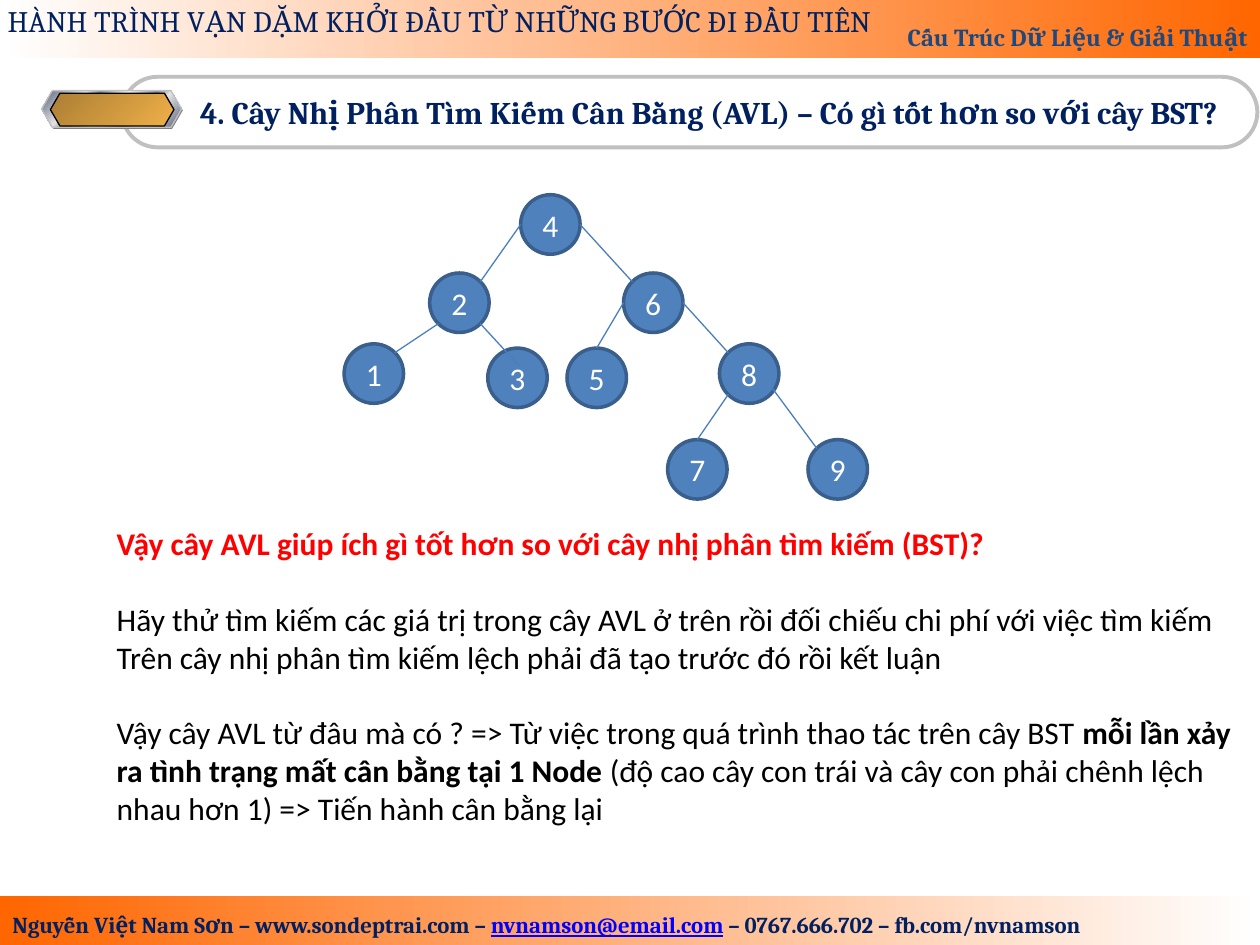
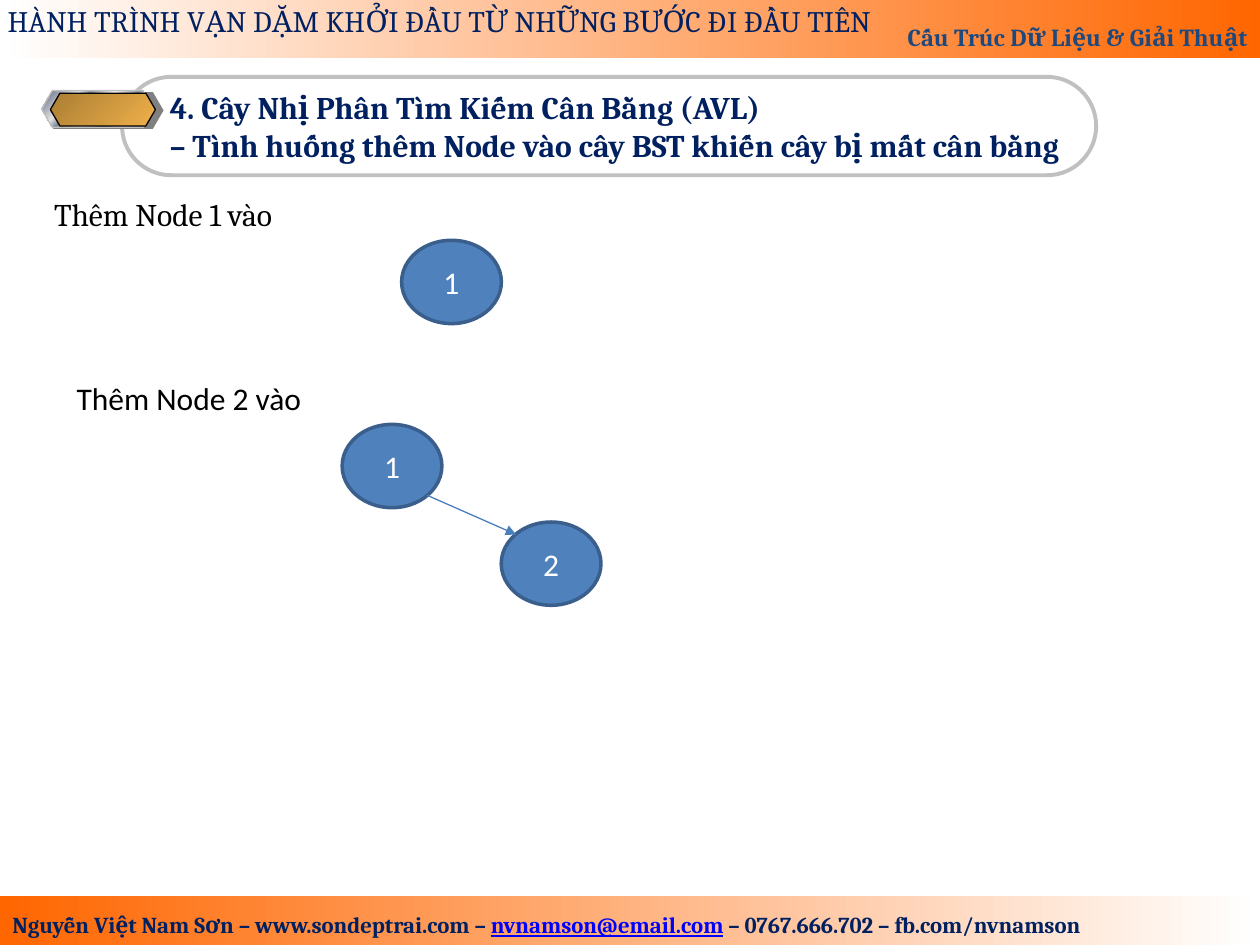
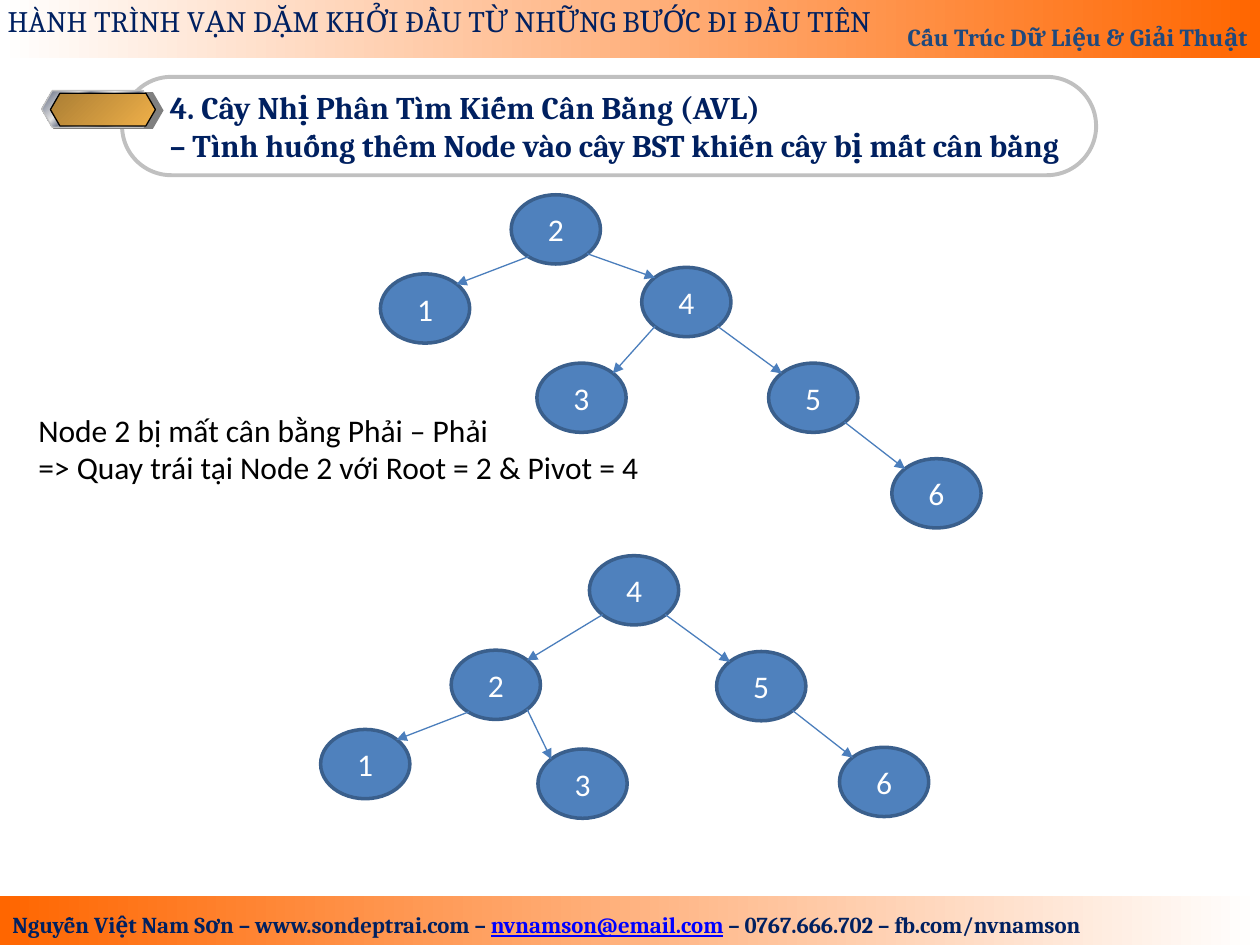
"""Build three slides about AVL trees: the search tree, inserting nodes, and a left rotation."""
from dataclasses import dataclass, field
from typing import Any, NamedTuple

from lxml.etree import SubElement
from pptx import Presentation
from pptx.dml.color import RGBColor
from pptx.enum.shapes import MSO_CONNECTOR as Link, MSO_SHAPE as Preset
from pptx.enum.text import MSO_ANCHOR as Anchor, MSO_AUTO_SIZE as AutoSize, PP_ALIGN as Align
from pptx.oxml.ns import qn
from pptx.util import Pt

Format = dict[str, Any]


@dataclass(frozen=True)
class Theme:
    navy: str = "002060"
    slate: str = "1F497D"
    link: str = "0000FF"
    black: str = "000000"
    white: str = "FFFFFF"
    red: str = "FF0000"
    silver: str = "C0C0C0"
    grey: str = "808080"
    node: str = "4F81BD"
    node_edge: str = "3A5F8C"
    branch: str = "4B7EBC"
    band: tuple = ((0, "FFFFFF"), (100, "FF6600"))
    band_reversed: tuple = ((0, "FF6600"), (100, "FFFFFF"))
    gold: tuple = ((0, "AB7E34"), (100, "EFB049"))
    steel: tuple = (
        (0, "E6E6E6"), (7, "7D8496"), (26, "E6E6E6"), (34, "7D8496"), (46, "E6E6E6"), (50, "FFFFFF"),
        (54, "E6E6E6"), (66, "7D8496"), (74, "E6E6E6"), (93, "7D8496"), (100, "E6E6E6"))
    text_size: float = 18
    slogan_size: float = 17
    course_size: float = 14
    contact_size: float = 13
    serif: str = "Cambria"
    sans: str = "Calibri"


THEME = Theme()


def font_format(name: str, size: float, color: str, bold: bool = False) -> Format:
    """Return the format values of one text style."""
    return {"name": name, "size": Pt(size), "color": color, "bold": bold}


TITLE = font_format(THEME.serif, THEME.text_size, THEME.navy, True)
SLOGAN = font_format(THEME.serif, THEME.slogan_size, THEME.navy)
COURSE = font_format(THEME.serif, THEME.course_size, THEME.slate, True)
CONTACT = font_format(THEME.serif, THEME.contact_size, THEME.navy, True)
MAIL = CONTACT | {"color": THEME.link, "underline": True}
BODY = font_format(THEME.sans, THEME.text_size, THEME.black)
STRONG = BODY | {"bold": True}
QUESTION = STRONG | {"color": THEME.red}
SERIF_BODY = BODY | {"name": THEME.serif}
LABEL = BODY | {"color": THEME.white}


class Box(NamedTuple):
    left: float
    top: float
    width: float
    height: float

    def lengths(self) -> list[Pt]:
        """Return the four sides as lengths."""
        return [Pt(value) for value in self]


class Span(NamedTuple):
    text: str
    format: Format = BODY


class Para(NamedTuple):
    spans: list[Span]
    before: float = 0
    indent: float = 0
    align: Align = Align.LEFT


class Site(NamedTuple):
    across: float
    down: float


LEFT, RIGHT, TOP = Site(0, 0.5), Site(1, 0.5), Site(0.5, 0)
UPPER_LEFT, UPPER_RIGHT = Site(0.15, 0.15), Site(0.85, 0.15)
LOWER_LEFT, LOWER_RIGHT = Site(0.15, 0.85), Site(0.85, 0.85)
LOW_LEFT, LOW_RIGHT, INNER_TOP = Site(0.2, 0.89), Site(0.87, 0.72), Site(0.53, 0.3)


class Edge(NamedTuple):
    parent: int
    child: int
    start: Site = LOWER_RIGHT
    end: Site = UPPER_LEFT


@dataclass(frozen=True)
class Tree:
    width: float
    height: float
    nodes: dict[int, tuple[float, float]]
    edges: list[Edge] = field(default_factory=list)
    arrows: bool = True


@dataclass(frozen=True)
class Heading:
    paras: list[Para]
    text_left: float
    frame: Box
    shadow_width: float
    steel_width: float
    gold_width: float


class Note(NamedTuple):
    box: Box
    paras: list[Para]


@dataclass(frozen=True)
class Content:
    heading: Heading
    trees: list[Tree]
    notes: list[Note]


def apply_format(font: Any, values: Format) -> None:
    """Set each format value on a font."""
    for name, value in values.items():
        if name == "color":
            font.color.rgb = RGBColor.from_string(value)
        else:
            setattr(font, name, value)


def write(frame: Any, paras: list[Para], anchor: Anchor = Anchor.TOP,
          margins: tuple = (7.2, 3.6, 7.2, 3.6)) -> None:
    """Fill a text frame with formatted paragraphs."""
    settings = {"word_wrap": True, "auto_size": AutoSize.NONE, "vertical_anchor": anchor}
    settings |= {f"margin_{side}": Pt(value)
                 for side, value in zip(("left", "top", "right", "bottom"), margins)}
    for name, value in settings.items():
        setattr(frame, name, value)
    for index, para in enumerate(paras):
        target = frame.add_paragraph() if index else frame.paragraphs[0]
        target.alignment = para.align
        if para.before:
            target.space_before = Pt(para.before)
        if para.indent:
            target._p.get_or_add_pPr().set("marL", str(Pt(para.indent)))
        for span in para.spans:
            run = target.add_run()
            run.text = span.text
            apply_format(run.font, span.format)


def add_text(page: Any, box: Box, paras: list[Para], **options: Any) -> Any:
    """Add a text box."""
    shape = page.shapes.add_textbox(*box.lengths())
    write(shape.text_frame, paras, **options)
    return shape


def paint_gradient(shape: Any, stops: tuple, angle: float) -> None:
    """Fill a shape with a linear gradient of any number of stops."""
    shape.fill.gradient()
    shape.fill.gradient_angle = angle
    stop_list = shape._element.spPr.find(qn("a:gradFill")).find(qn("a:gsLst"))
    for old in list(stop_list):
        stop_list.remove(old)
    for position, color in stops:
        stop = SubElement(stop_list, qn("a:gs"), pos=str(position * 1000))
        SubElement(stop, qn("a:srgbClr"), val=color)


def add_preset(page: Any, preset: Preset, box: Box, fill: str | tuple | None = None,
               line: tuple[str, float] | None = None, angle: float = 0) -> Any:
    """Add a preset shape with a plain, gradient or empty fill."""
    shape = page.shapes.add_shape(preset, *box.lengths())
    shape.shadow.inherit = False
    if fill is None:
        shape.fill.background()
    elif isinstance(fill, str):
        shape.fill.solid()
        shape.fill.fore_color.rgb = RGBColor.from_string(fill)
    else:
        paint_gradient(shape, fill, angle)
    if line:
        shape.line.color.rgb = RGBColor.from_string(line[0])
        shape.line.width = Pt(line[1])
    else:
        shape.line.fill.background()
    return shape


def add_bands(page: Any, layout: Any) -> None:
    """Draw the header and footer and move them to the shared layout."""
    footer = add_preset(page, Preset.RECTANGLE, Box(0, 512, 720, 28), THEME.band_reversed)
    header = add_preset(page, Preset.RECTANGLE, Box(0, 0, 720, 33), THEME.band)
    write(header.text_frame, [Para([Span("Cấu Trúc Dữ Liệu & Giải Thuật", COURSE)], align=Align.RIGHT)],
          Anchor.BOTTOM)
    contact = add_text(page, Box(0, 517, 651, 23), [Para([
        Span("Nguyễn Việt Nam Sơn – www.sondeptrai.com – ", CONTACT),
        Span("nvnamson@email.com", MAIL),
        Span(" – 0767.666.702 – fb.com/nvnamson", CONTACT)])])
    slogan = add_text(page, Box(0, 0, 531, 26), [
        Para([Span("HÀNH TRÌNH VẠN DẶM KHỞI ĐẦU TỪ NHỮNG BƯỚC ĐI ĐẦU TIÊN", SLOGAN)])],
        margins=(4.3, 1.4, 7.2, 3.6))
    for shape in (footer, header, contact, slogan):
        layout.shapes.element.append(shape._element)


def add_heading(page: Any, heading: Heading) -> None:
    """Place the title in its rounded frame with the badge at its left."""
    frame = heading.frame
    title = page.shapes.title
    box = Box(heading.text_left, frame.top, frame.left + frame.width - heading.text_left, frame.height)
    for name, value in zip(("left", "top", "width", "height"), box.lengths()):
        setattr(title, name, value)
    write(title.text_frame, heading.paras, Anchor.MIDDLE, (0, 0, 0, 0))
    outline = add_preset(page, Preset.ROUNDED_RECTANGLE, frame, line=(THEME.silver, 2.25))
    outline.adjustments[0] = 0.5
    badge = (
        (Box(24.5, 52.6, heading.shadow_width, 21), THEME.grey, None),
        (Box(23.8, 51.8, heading.steel_width, 21), THEME.steel, (THEME.silver, 0.75)),
        (Box(28.8, 53.3, heading.gold_width, 18.7), THEME.gold, (THEME.black, 0.75)))
    for place, fill, line in badge:
        hexagon = add_preset(page, Preset.HEXAGON, place, fill, line, angle=315)
        hexagon.adjustments[0] = 0.29


def add_branch(page: Any, tree: Tree, edge: Edge) -> None:
    """Draw the line from a parent node to its child."""
    ends = []
    for key, site in ((edge.parent, edge.start), (edge.child, edge.end)):
        left, top = tree.nodes[key]
        ends += [Pt(left + site.across * tree.width), Pt(top + site.down * tree.height)]
    branch = page.shapes.add_connector(Link.STRAIGHT, *ends)
    branch.line.color.rgb = RGBColor.from_string(THEME.branch)
    branch.line.width = Pt(0.75)
    properties = branch._element.spPr
    if tree.arrows:
        SubElement(properties.find(qn("a:ln")), qn("a:tailEnd"), type="triangle")
    SubElement(properties, qn("a:effectLst"))


def add_tree(page: Any, tree: Tree) -> None:
    """Draw the nodes of a tree and the branches between them."""
    for key, (left, top) in tree.nodes.items():
        node = add_preset(page, Preset.OVAL, Box(left, top, tree.width, tree.height),
                          THEME.node, (THEME.node_edge, 2))
        write(node.text_frame, [Para([Span(str(key), LABEL)], align=Align.CENTER)],
              Anchor.MIDDLE, (0, 0, 0, 0))
    for edge in tree.edges:
        add_branch(page, tree, edge)


COMPARE = Heading(
    [Para([Span("4. Cây Nhị Phân Tìm Kiếm Cân Bằng (AVL) – Có gì tốt hơn so với cây BST?", TITLE)])],
    114.3, Box(69.8, 43.9, 648.7, 40.3), 80, 80, 70.6)
INSERT = Heading(
    [Para([Span("4. Cây Nhị Phân Tìm Kiếm Cân Bằng (AVL)", TITLE)], indent=12),
     Para([Span("– Tình huống thêm Node vào cây BST khiến cây bị mất cân bằng", TITLE)])],
    85, Box(69.8, 43.9, 556.6, 56.2), 69, 64, 60)

SEARCH_TREE = Tree(
    34, 34,
    {1: (196.6, 196.5), 2: (245.5, 156), 3: (278.7, 198.9), 4: (297.5, 111.3), 5: (324, 198.9),
     6: (356.3, 156), 7: (381.5, 251.2), 8: (411.1, 196.5), 9: (461.7, 251.2)},
    [Edge(4, 2, LEFT, UPPER_RIGHT), Edge(4, 6, RIGHT), Edge(2, 1, LOWER_LEFT, UPPER_RIGHT),
     Edge(2, 3, end=INNER_TOP), Edge(6, 5, LEFT, TOP), Edge(6, 8, RIGHT),
     Edge(8, 7, LOWER_LEFT, TOP), Edge(8, 9, LOW_RIGHT)],
    arrows=False)
FIRST_NODE = Tree(57, 47.6, {1: (229.5, 137.3)})
SECOND_NODE = Tree(57, 47.6, {1: (195.5, 242.5), 2: (286.4, 298.3)}, [Edge(1, 2)])
UNBALANCED = Tree(
    51, 39.6,
    {1: (217.4, 156.5), 2: (292.1, 111.3), 3: (306.8, 207.5), 4: (366.7, 152.8),
     5: (439.2, 207.5), 6: (509.6, 262.1)},
    [Edge(2, 1, LOW_LEFT, UPPER_RIGHT), Edge(2, 4), Edge(4, 3, LOWER_LEFT, UPPER_RIGHT),
     Edge(4, 5), Edge(5, 6)])
ROTATED = Tree(
    51, 39.6,
    {1: (183.2, 416.8), 2: (257.8, 371.5), 3: (307.4, 428), 4: (336.8, 317.5),
     5: (409.5, 372.3), 6: (479.7, 427)},
    [Edge(2, 1, LOW_LEFT, UPPER_RIGHT), Edge(2, 3), Edge(4, 2, LOWER_LEFT, UPPER_RIGHT),
     Edge(4, 5), Edge(5, 6)])

WHY_AVL = [
    Para([Span("Vậy cây AVL giúp ích gì tốt hơn so với cây nhị phân tìm kiếm (BST)?", QUESTION)]),
    Para([Span("Hãy thử tìm kiếm các giá trị trong cây AVL ở trên rồi đối chiếu chi phí với việc tìm kiếm")],
         before=21.6),
    Para([Span("Trên cây nhị phân tìm kiếm lệch phải đã tạo trước đó rồi kết luận")]),
    Para([Span("Vậy cây AVL từ đâu mà có ? => Từ việc trong quá trình thao tác trên cây BST "),
          Span("mỗi lần xảy", STRONG)], before=21.6),
    Para([Span("ra tình trạng mất cân bằng tại 1 Node", STRONG),
          Span(" (độ cao cây con trái và cây con phải chênh lệch")]),
    Para([Span("nhau hơn 1) => Tiến hành cân bằng lại")])]
ROTATE_LEFT = [
    Para([Span("Node 2 bị mất cân bằng Phải – Phải")]),
    Para([Span("=> Quay trái tại Node 2 với Root = 2 & Pivot = 4")])]

CONTENTS = [
    Content(COMPARE, [SEARCH_TREE], [Note(Box(59.6, 296, 660, 181), WHY_AVL)]),
    Content(INSERT, [FIRST_NODE, SECOND_NODE], [
        Note(Box(23.8, 108, 687, 29), [Para([Span("Thêm Node 1 vào", SERIF_BODY)])]),
        Note(Box(36.7, 213.1, 160, 29), [Para([Span("Thêm Node 2 vào")])])]),
    Content(INSERT, [UNBALANCED, ROTATED], [Note(Box(14.8, 231.1, 372, 51), ROTATE_LEFT)])]


def main() -> None:
    """Build the deck and save it."""
    deck = Presentation()
    deck.slide_width, deck.slide_height = Pt(720), Pt(540)
    layout = deck.slide_layouts.get_by_name("Title Only")
    for index, content in enumerate(CONTENTS):
        page = deck.slides.add_slide(layout)
        if index == 0:
            add_bands(page, layout)
        add_heading(page, content.heading)
        for tree in content.trees:
            add_tree(page, tree)
        for note in content.notes:
            add_text(page, note.box, note.paras)
    deck.save("out.pptx")


if __name__ == "__main__":
    main()
